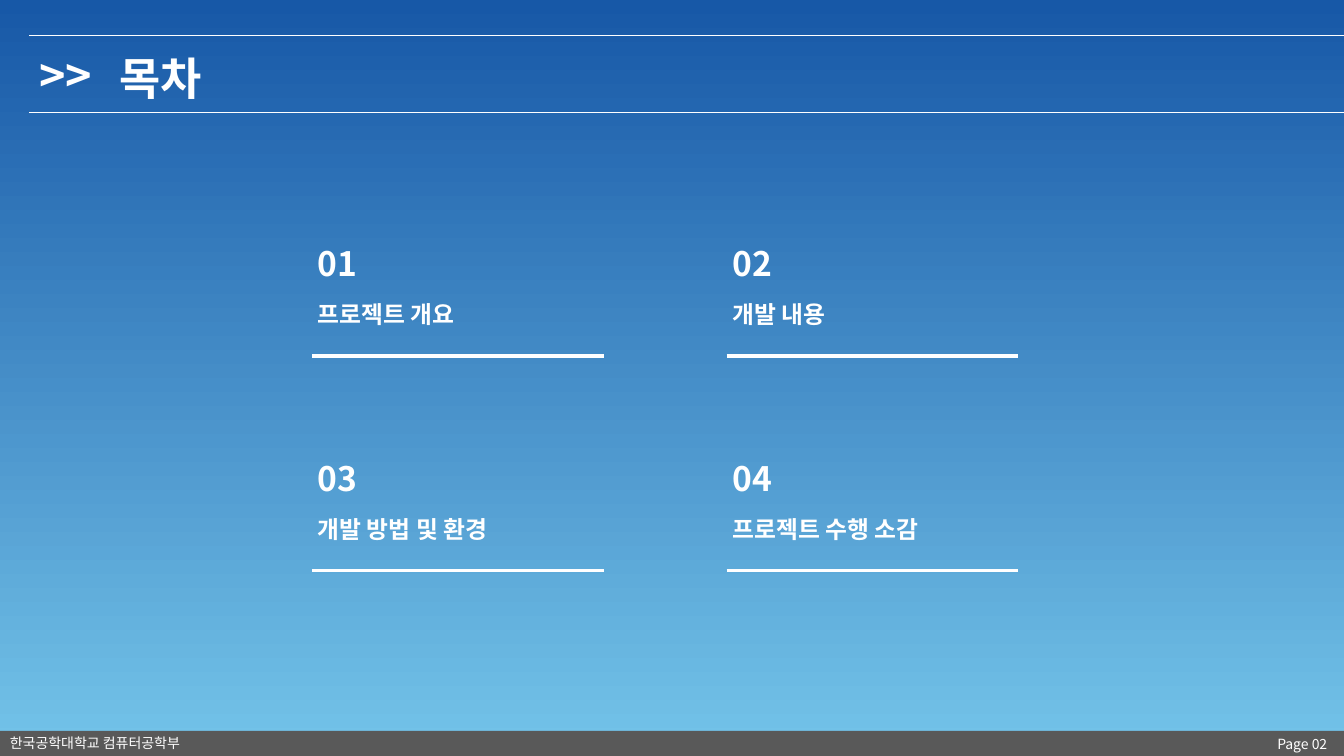
from dataclasses import dataclass

from lxml.etree import SubElement
from pptx import Presentation
from pptx.dml.color import RGBColor
from pptx.enum.shapes import MSO_CONNECTOR as Connector, MSO_SHAPE as Shape
from pptx.enum.text import MSO_AUTO_SIZE as AutoSize
from pptx.oxml.ns import qn
from pptx.shapes.shapetree import GroupShapes, SlideShapes
from pptx.slide import Slide
from pptx.util import Emu, Pt

EMU_PER_PX = 9525
SLIDE_WIDTH, SLIDE_HEIGHT = 1280, 720
FONT = "Noto Sans CJK KR"
WHITE = "FFFFFF"
SKY_TOP, SKY_BOTTOM = "1758A7", "74C4E9"
FOOTER_GRAY = "595959"

# Contents grid: two columns, two rows
GRID_LEFT, GRID_TOP = 293, 227
COLUMN_PITCH, ROW_PITCH = 395, 204
COLUMNS = 2

Shapes = SlideShapes | GroupShapes


@dataclass(frozen=True)
class Label:
    text: str
    left: int
    top: int
    width: int
    height: int
    size: int
    bold: bool = True
    wrap: bool = True


@dataclass(frozen=True)
class Chapter:
    title: str
    width: int = 299


HEADER_LINES = (34, 107)
HEADER_LABELS = (
    Label(">>", 28, 41, 76, 61, 32, wrap=False),
    Label("목차", 104, 44, 106, 61, 32, wrap=False),
)
CHAPTERS = (
    Chapter("프로젝트 개요", 352),
    Chapter("개발 내용"),
    Chapter("개발 방법 및 환경"),
    Chapter("프로젝트 수행 소감"),
)
FOOTER_LABELS = (
    Label("한국공학대학교 컴퓨터공학부", 0, 695, 204, 26, 10, bold=False),
    Label("Page 02", 1207, 696, 73, 26, 10, bold=False),
)


def px(length: int) -> Emu:
    return Emu(length * EMU_PER_PX)


def color(value: str) -> RGBColor:
    return RGBColor.from_string(value)


def paint_background(slide: Slide) -> None:
    fill = slide.background.fill
    fill.gradient()
    fill.gradient_angle = 270
    for stop, position, value in zip(fill.gradient_stops, (0, 1), (SKY_TOP, SKY_BOTTOM)):
        stop.position = position
        stop.color.rgb = color(value)


def add_label(shapes: Shapes, label: Label) -> None:
    box = shapes.add_textbox(px(label.left), px(label.top), px(label.width), px(label.height))
    text_frame = box.text_frame
    text_frame.text = label.text
    text_frame.word_wrap = label.wrap
    text_frame.auto_size = AutoSize.SHAPE_TO_FIT_TEXT
    run = text_frame.paragraphs[0].runs[0]
    run.font.size = Pt(label.size)
    run.font.bold = label.bold
    run.font.color.rgb = color(WHITE)
    run.font.name = FONT
    # Korean glyphs take the East Asian typeface
    SubElement(run.font._element, qn("a:ea"), typeface=FONT)


def add_rule(shapes: Shapes, left: int, right: int, y: int, weight: float) -> None:
    rule = shapes.add_connector(Connector.STRAIGHT, px(left), px(y), px(right), px(y))
    rule.line.color.rgb = color(WHITE)
    rule.line.width = Pt(weight)
    SubElement(rule._element.spPr, qn("a:effectLst"))


def add_header(slide: Slide) -> None:
    for y in HEADER_LINES:
        add_rule(slide.shapes, 28, SLIDE_WIDTH, y, 1)
    for label in HEADER_LABELS:
        add_label(slide.shapes, label)


def add_chapter(slide: Slide, index: int, chapter: Chapter) -> None:
    row, column = divmod(index, COLUMNS)
    left = GRID_LEFT + column * COLUMN_PITCH
    top = GRID_TOP + row * ROW_PITCH
    shapes = slide.shapes.add_group_shape().shapes
    add_label(shapes, Label(f"{index + 1:02}", left, top, 89, 48, 24))
    add_label(shapes, Label(chapter.title, left, top + 54, chapter.width, 37, 17))
    add_rule(slide.shapes, left + 4, left + 282, top + 112, 2.25)


def add_footer(slide: Slide) -> None:
    shapes = slide.shapes.add_group_shape().shapes
    bar = shapes.add_shape(Shape.RECTANGLE, px(0), px(696), px(SLIDE_WIDTH), px(24))
    bar.shadow.inherit = False
    bar.fill.solid()
    bar.fill.fore_color.rgb = color(FOOTER_GRAY)
    bar.line.fill.background()
    for label in FOOTER_LABELS:
        add_label(shapes, label)


def main() -> None:
    presentation = Presentation()
    presentation.slide_width = px(SLIDE_WIDTH)
    presentation.slide_height = px(SLIDE_HEIGHT)
    slide = presentation.slides.add_slide(presentation.slide_layouts[6])

    paint_background(slide)
    add_header(slide)
    for index, chapter in enumerate(CHAPTERS):
        add_chapter(slide, index, chapter)
    add_footer(slide)
    presentation.save("out.pptx")


if __name__ == "__main__":
    main()
